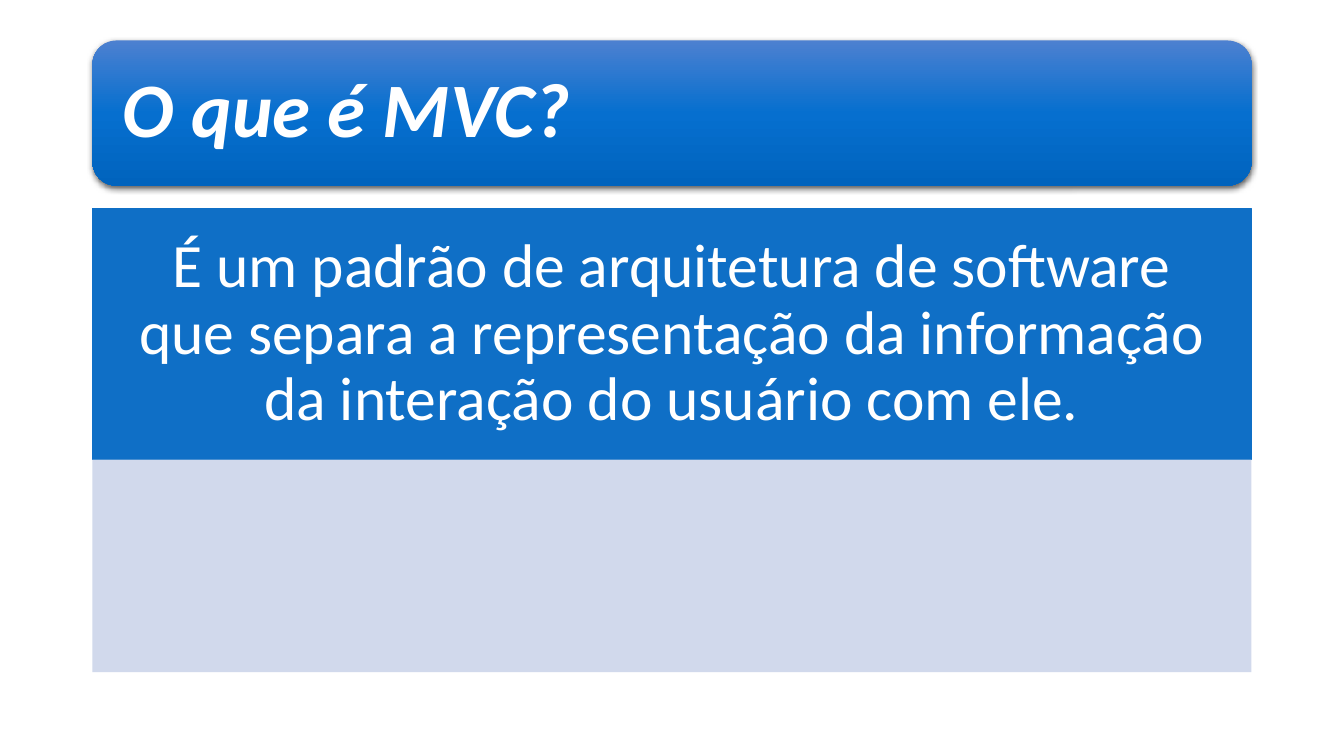
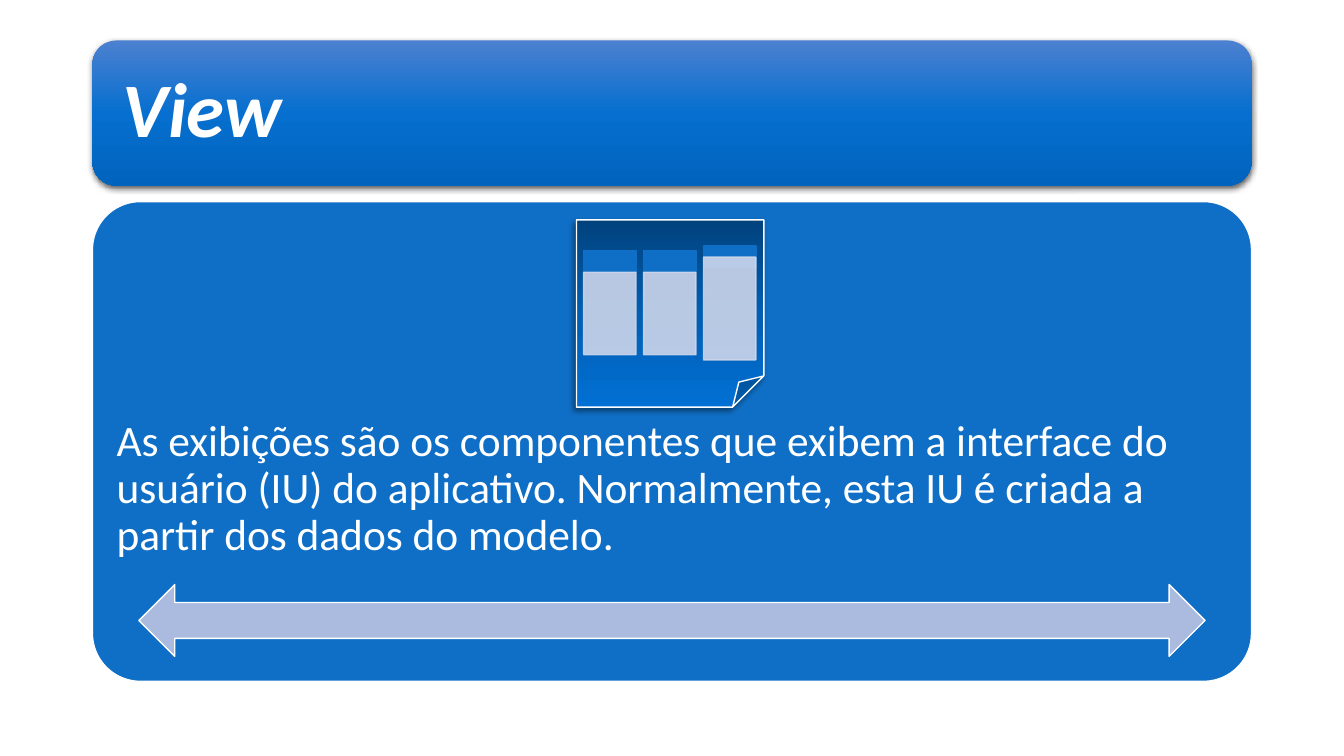
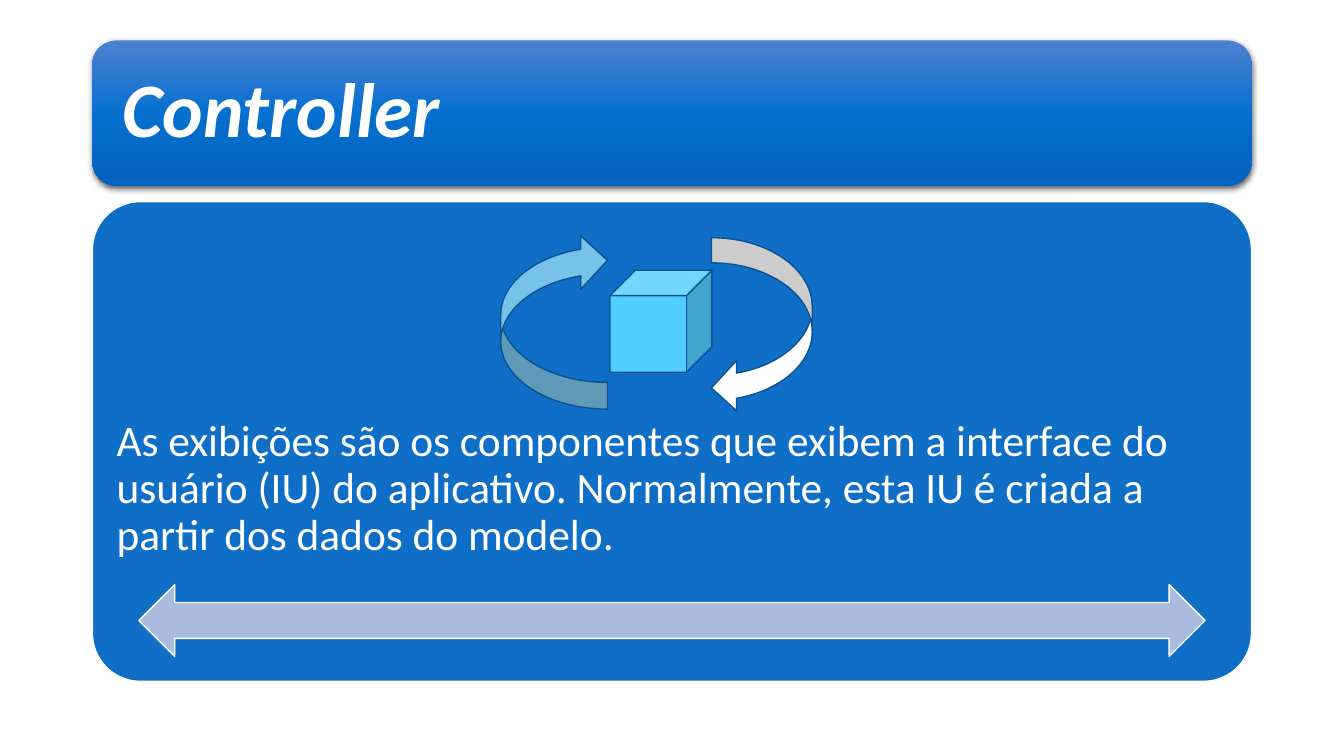
"""Builds three slides that explain the MVC pattern."""
from copy import deepcopy

from pptx import Presentation
from pptx.dml.color import RGBColor
from pptx.enum import shapes, text
from pptx.oxml import parse_xml
from pptx.oxml.ns import nsdecls, qn
from pptx.util import Cm, Pt

KINDS = shapes.MSO_SHAPE
ALIGN = text.PP_ALIGN


def color(value):
    """Return the colour of a hex string."""
    return RGBColor.from_string(value)


def write(shape, content, size, bold=False, italic=False, align=ALIGN.LEFT,
          insets=(0.25, 0.13), tint="FFFFFF", font="Calibri"):
    """Write one formatted paragraph into a shape."""
    frame = shape.text_frame
    frame.word_wrap = True
    frame.auto_size = text.MSO_AUTO_SIZE.NONE
    frame.vertical_anchor = text.MSO_ANCHOR.MIDDLE
    frame.margin_left = frame.margin_right = Cm(insets[0])
    frame.margin_top = frame.margin_bottom = Cm(insets[1])
    paragraph = frame.paragraphs[0]
    paragraph.alignment = align
    paragraph.line_spacing = 0.9
    run = paragraph.add_run()
    run.text = content
    run.font.name = font
    run.font.size = Pt(size)
    run.font.bold = bold
    run.font.italic = italic
    run.font.color.rgb = color(tint)


def paint_gradient(shape, tints):
    """Fill a shape from top to bottom with evenly spaced colours."""
    shape.fill.gradient()
    shape.fill.gradient_angle = 270
    stops = shape._element.spPr.find(qn("a:gradFill")).find(qn("a:gsLst"))
    for _ in tints[2:]:
        stops.append(deepcopy(stops[0]))
    for index, (stop, tint) in enumerate(zip(shape.fill.gradient_stops, tints)):
        stop.position = index / (len(tints) - 1)
        stop.color.rgb = color(tint)


def cast_shadow(shape, blur, distance, angle, opacity):
    """Give a shape a soft black outer shadow."""
    effects = shape._element.spPr.find(qn("a:effectLst"))
    effects.append(parse_xml(
        f'<a:outerShdw {nsdecls("a")} blurRad="{Pt(blur)}" dist="{Pt(distance)}" '
        f'dir="{angle * 60000}" algn="ctr" rotWithShape="0"><a:srgbClr val="000000">'
        f'<a:alpha val="{opacity * 1000}"/></a:srgbClr></a:outerShdw>'))


def set_opacity(shape, percent):
    """Make the fill and line colours of a shape translucent."""
    for tint in shape._element.spPr.iter(qn("a:srgbClr")):
        tint.append(parse_xml(f'<a:alpha {nsdecls("a")} val="{percent * 1000}"/>'))


class Deck:
    """Holds the style and the current slide."""

    left, width = 2.33, 29.21
    blue, pale, arrow, outline, white = "0F6FC6", "CCD5EA", "ABBBDF", "0B5292", "FFFFFF"
    title_gradient = ("4C80D0", "066FCF", "0063BD")
    page_gradient = ("01427D", "015EB2", "0170D4")

    def __init__(self):
        """Start an empty widescreen presentation."""
        self.presentation = Presentation()
        self.presentation.slide_width = Cm(33.87)
        self.presentation.slide_height = Cm(19.05)
        self.slide = None

    def shape(self, kind, left, top, width, height, fill, line=None, weight=1):
        """Add a preset shape with a plain or gradient fill."""
        shape = self.slide.shapes.add_shape(
            kind, Cm(left), Cm(top), Cm(width), Cm(height))
        shape.shadow.inherit = False
        if isinstance(fill, tuple):
            paint_gradient(shape, fill)
        else:
            shape.fill.solid()
            shape.fill.fore_color.rgb = color(fill)
        if line:
            shape.line.color.rgb = color(line)
            shape.line.width = Pt(weight)
        else:
            shape.line.fill.background()
        return shape

    def titled_slide(self, heading):
        """Add a slide with its title on a gradient band."""
        self.slide = self.presentation.slides.add_slide(
            self.presentation.slide_layouts[5])
        band = self.shape(KINDS.ROUNDED_RECTANGLE, self.left, 1.02, self.width, 3.66,
                          self.title_gradient)
        cast_shadow(band, 4.5, 1.5, 90, 63)
        title = self.slide.shapes.title
        title.left, title.top = Cm(self.left + 0.18), Cm(1.19)
        title.width, title.height = Cm(self.width - 0.36), Cm(3.3)
        write(title, heading, 55, bold=True, italic=True, insets=(0.58, 0.58))
        band._element.addnext(title._element)

    def definition(self, content):
        """Add a text block above a pale block."""
        block = self.shape(KINDS.RECTANGLE, self.left, 5.26, self.width, 6.32,
                           self.blue, self.blue, 0.5)
        write(block, content, 44, align=ALIGN.CENTER, insets=(0.86, 0.51))
        base = self.shape(KINDS.RECTANGLE, self.left, 11.58, self.width, 5.36, self.pale)
        set_opacity(base, 90)

    def card(self, content):
        """Add a rounded card with text over a double arrow."""
        card = self.shape(KINDS.ROUNDED_RECTANGLE, self.left, 5.08, self.width, 12.09,
                          self.blue, self.white)
        card.adjustments[0] = 0.1
        box = self.slide.shapes.add_textbox(
            Cm(self.left), Cm(9.91), Cm(self.width), Cm(4.83))
        write(box, content, 31, insets=(0.61, 0.61))
        self.shape(KINDS.LEFT_RIGHT_ARROW, 3.5, 14.73, 26.87, 1.81,
                   self.arrow, self.white)

    def page_icon(self):
        """Draw a folded page with three columns."""
        page = self.shape(KINDS.FOLDED_CORNER, 14.53, 5.54, 4.72, 4.72,
                          self.page_gradient, self.white)
        cast_shadow(page, 4, 3, 135, 40)
        columns = ((6.32, 6.86, 2.08), (6.32, 6.86, 2.08), (6.2, 6.48, 2.59))
        for index, (head_top, body_top, body_height) in enumerate(columns):
            left = 14.71 + 1.51 * index
            self.shape(KINDS.RECTANGLE, left, head_top, 1.32, 0.53, self.blue, self.blue)
            body = self.shape(KINDS.RECTANGLE, left, body_top, 1.32, body_height,
                              self.pale, self.pale)
            set_opacity(body, 90)

    def cycle_icon(self):
        """Draw a cube between two curved arrows."""
        rising = self.shape(KINDS.CURVED_RIGHT_ARROW, 12.62, 5.89, 2.69, 4.42,
                            "77C2E8", self.outline)
        rising._element.spPr.find(qn("a:xfrm")).set("flipV", "1")
        self.shape(KINDS.CURVED_LEFT_ARROW, 17.93, 5.99, 2.54, 4.42,
                   self.white, self.outline)
        self.shape(KINDS.CUBE, 15.37, 6.81, 2.57, 2.57, "4FCEFF", self.outline)


def main():
    """Build and save the presentation."""
    deck = Deck()
    deck.titled_slide("O que é MVC?")
    deck.definition("É um padrão de arquitetura de software que separa a representação "
                    "da informação da interação do usuário com ele.")
    views = ("As exibições são os componentes que exibem a interface do usuário (IU) do "
             "aplicativo. Normalmente, esta IU é criada a partir dos dados do modelo.")
    for heading, draw_icon in (("View", deck.page_icon), ("Controller", deck.cycle_icon)):
        deck.titled_slide(heading)
        deck.card(views)
        draw_icon()
    deck.presentation.save("out.pptx")


if __name__ == "__main__":
    main()
